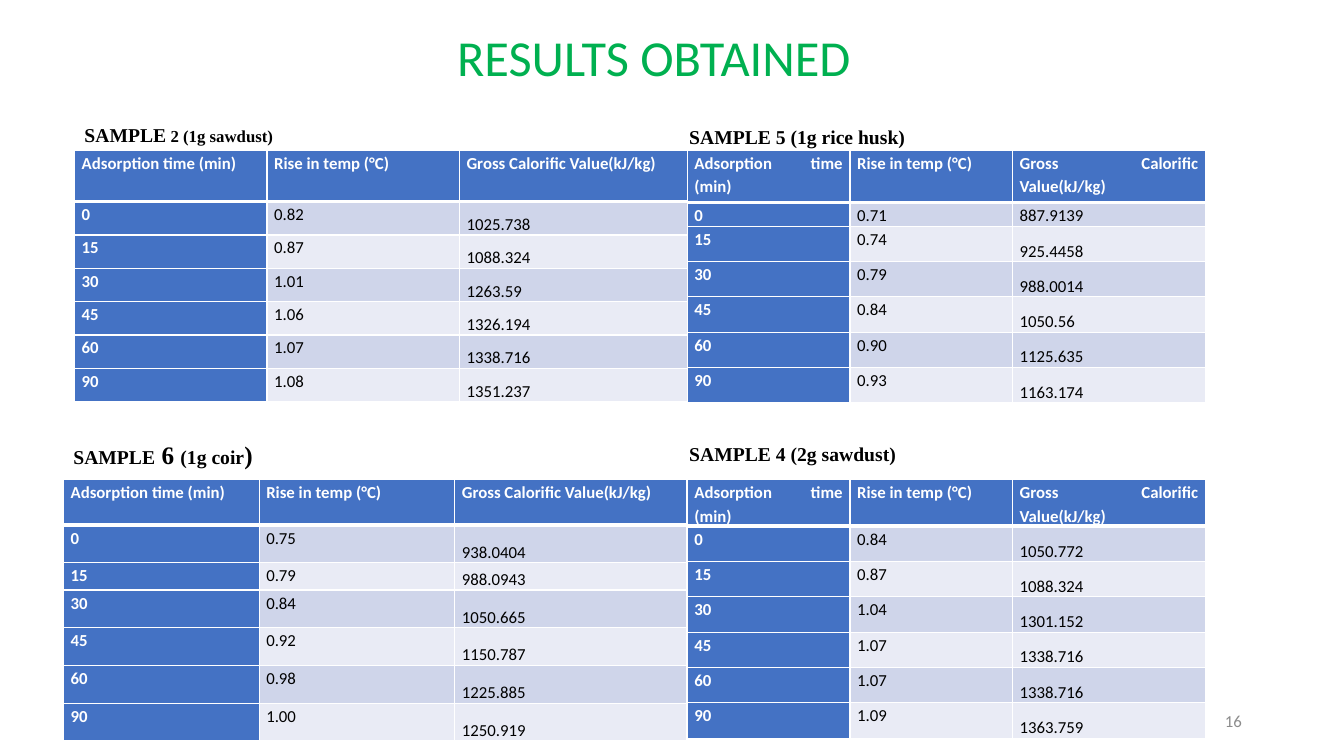
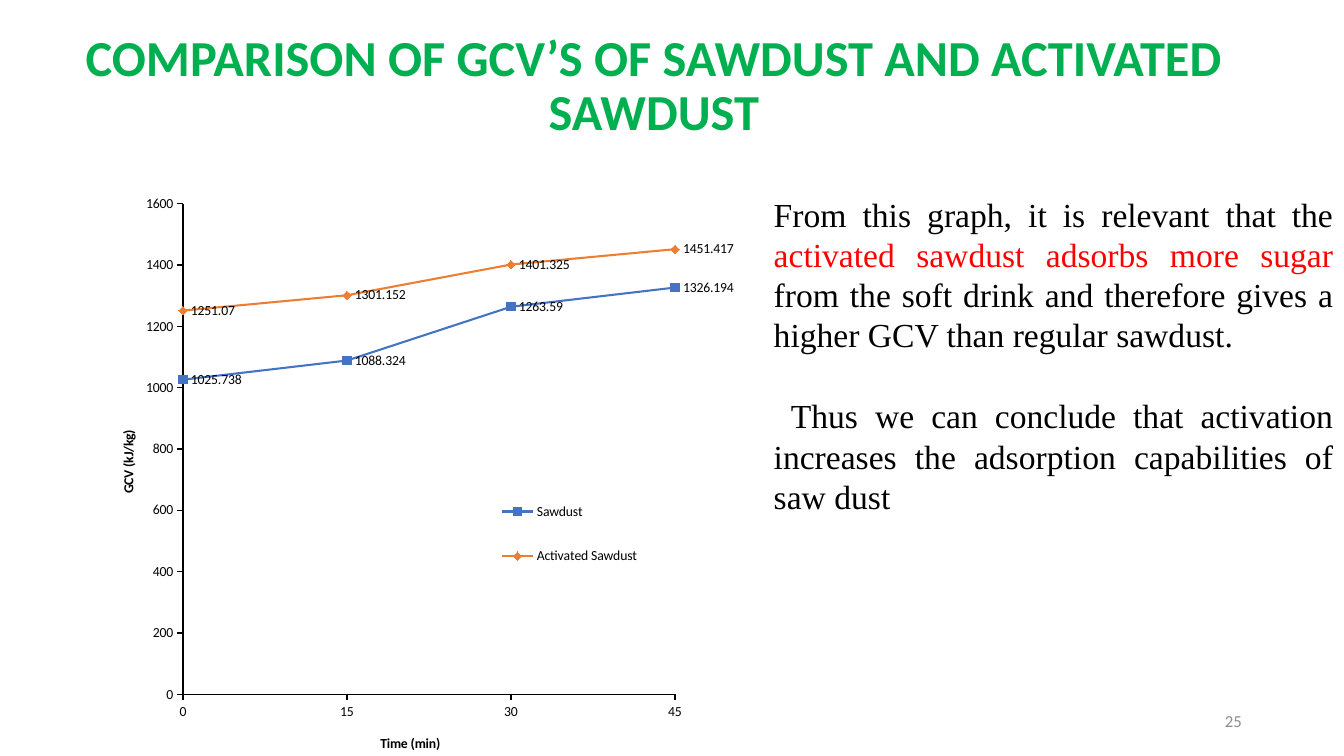
from pptx import Presentation
from pptx.chart.data import CategoryChartData
from pptx.dml.color import RGBColor
from pptx.enum.chart import (XL_AXIS_CROSSES, XL_CHART_TYPE, XL_LABEL_POSITION,
                             XL_LEGEND_POSITION, XL_MARKER_STYLE, XL_TICK_MARK)
from pptx.enum.text import MSO_ANCHOR, PP_ALIGN
from pptx.oxml import parse_xml
from pptx.oxml.ns import nsdecls, qn
from pptx.util import Cm, Pt

GREEN, BLUE, ORANGE, RED = "00B050", "4472C4", "ED7D31", "FF0000"
BLACK, WHITE, GREY = "000000", "FFFFFF", "8C8C8C"
BANDS = ("E9EBF5", "CFD5EA")
SANS, SERIF = "Calibri", "Times New Roman"
rgb = RGBColor.from_string


def write(tf, paragraphs, font, para):
    tf.word_wrap = True
    for i, runs in enumerate(paragraphs):
        p = tf.paragraphs[0] if i == 0 else tf.add_paragraph()
        for name, value in para.items():
            setattr(p, name, value)
        for text, changes in runs:
            r = p.add_run()
            r.text = text
            values = {**font, **changes}
            r.font.color.rgb = rgb(values.pop("color"))
            for name, value in values.items():
                setattr(r.font, name, value)


def place(parent, index, target, **sizes):
    for old in parent.findall(qn("c:layout")):
        parent.remove(old)
    modes = f'<c:layoutTarget val="{target}"/>' if target else ""
    modes += '<c:xMode val="edge"/><c:yMode val="edge"/>'
    values = "".join(f'<c:{k} val="{v}"/>' for k, v in sizes.items())
    parent.insert(index, parse_xml(
        f'<c:layout {nsdecls("c")}><c:manualLayout>{modes}{values}</c:manualLayout></c:layout>'))


prs = Presentation()
prs.slide_width, prs.slide_height = Cm(33.87), Cm(19.05)

title_font = {"name": SANS, "size": Pt(36), "color": GREEN}
number_font = {"name": SANS, "size": Pt(12), "color": GREY}
slides = []
for title, bold, number in [
    ("RESULTS OBTAINED", False, "16"),
    ("COMPARISON OF GCV’S OF SAWDUST AND ACTIVATED SAWDUST", True, "25"),
]:
    s = prs.slides.add_slide(prs.slide_layouts[6])
    tf = s.shapes.add_textbox(Cm(1.75), Cm(0.7), Cm(29.46), Cm(3.1)).text_frame
    write(tf, [[(title, {"bold": bold})]], title_font,
          {"alignment": PP_ALIGN.CENTER, "line_spacing": 0.9})
    tf = s.shapes.add_textbox(Cm(23.93), Cm(17.65), Cm(7.62), Cm(1.02)).text_frame
    tf.vertical_anchor = MSO_ANCHOR.MIDDLE
    write(tf, [[(number, {})]], number_font, {"alignment": PP_ALIGN.RIGHT})
    slides.append(s)
results, comparison = slides

header = ["Adsorption time (min)", "Rise in temp (°C)", "Gross Calorific Value(kJ/kg)"]
times = ["0", "15", "30", "45", "60", "90"]
small, large = {"size": Pt(12)}, {"size": Pt(18)}
samples = [
    {"label": [("SAMPLE", {}), (" 2 (1g sawdust)", small)], "label_at": (1.88, 2.97),
     "at": (1.88, 3.78), "cols": [4.85, 4.85, 5.74], "rows": [1.3] + [0.84] * 6,
     "temps": ["0.82", "0.87", "1.01", "1.06", "1.07", "1.08"],
     "gcv": ["1025.738", "1088.324", "1263.59", "1326.194", "1338.716", "1351.237"]},
    {"label": [("SAMPLE 5 (1g rice husk)", {})], "label_at": (17.12, 3.02),
     "at": (17.32, 3.78), "cols": [4.1, 4.1, 4.86], "rows": [1.32, 0.6] + [0.89] * 5,
     "temps": ["0.71", "0.74", "0.79", "0.84", "0.90", "0.93"],
     "gcv": ["887.9139", "925.4458", "988.0014", "1050.56", "1125.635", "1163.174"]},
    {"label": [("SAMPLE", {}), (" 6 ", large), ("(1g coir", {}), (")", large)],
     "label_at": (1.6, 10.95),
     "at": (1.6, 12.09), "cols": [4.93, 4.93, 5.85], "rows": [1.14, 0.95, 0.69] + [0.95] * 4,
     "temps": ["0.75", "0.79", "0.84", "0.92", "0.98", "1.00"],
     "gcv": ["938.0404", "988.0943", "1050.665", "1150.787", "1225.885", "1250.919"]},
    {"label": [("SAMPLE 4 (2g sawdust)", {})], "label_at": (17.12, 11.02),
     "at": (17.32, 12.09), "cols": [4.1, 4.1, 4.86], "rows": [1.17] + [0.89] * 6,
     "temps": ["0.84", "0.87", "1.04", "1.07", "1.07", "1.09"],
     "gcv": ["1050.772", "1088.324", "1301.152", "1338.716", "1338.716", "1363.759"]},
]
label_font = {"name": SERIF, "size": Pt(14), "bold": True, "color": BLACK}
cell_para = {"alignment": PP_ALIGN.JUSTIFY, "line_spacing": 1.15, "space_after": Pt(10)}
margins = {"margin_left": Cm(0.18), "margin_right": Cm(0.18), "margin_top": 0, "margin_bottom": 0}

for sample in samples:
    left, top = sample["label_at"]
    tf = results.shapes.add_textbox(Cm(left), Cm(top), Cm(12.5), Cm(0.86)).text_frame
    write(tf, [sample["label"]], label_font, {"alignment": PP_ALIGN.LEFT})

    left, top = sample["at"]
    cols, rows = sample["cols"], sample["rows"]
    table = results.shapes.add_table(len(rows), len(cols), Cm(left), Cm(top),
                                     Cm(sum(cols)), Cm(sum(rows))).table
    for column, width in zip(table.columns, cols):
        column.width = Cm(width)
    for row, height in zip(table.rows, rows):
        row.height = Cm(height)
    for i, texts in enumerate([header, *zip(times, sample["temps"], sample["gcv"])]):
        for j, text in enumerate(texts):
            cell = table.cell(i, j)
            heading = i == 0 or j == 0
            for name, value in margins.items():
                setattr(cell, name, value)
            if i and j == 2:
                cell.vertical_anchor = MSO_ANCHOR.BOTTOM
            thick = {"T": i == 1, "B": i == 0}
            tcPr = cell._tc.get_or_add_tcPr()
            for side in "LRTB":
                width = Pt(3 if thick.get(side) else 1)
                tcPr.append(parse_xml(
                    f'<a:ln{side} {nsdecls("a")} w="{width}"><a:solidFill>'
                    f'<a:srgbClr val="{WHITE}"/></a:solidFill></a:ln{side}>'))
            cell.fill.solid()
            cell.fill.fore_color.rgb = rgb(BLUE if heading else BANDS[i % 2])
            write(cell.text_frame, [[(text, {})]],
                  {"name": SANS, "size": Pt(12), "bold": heading,
                   "color": WHITE if heading else BLACK}, cell_para)

data = CategoryChartData()
data.categories = times[:4]
data.add_series("Sawdust", [1025.738, 1088.324, 1263.59, 1326.194])
data.add_series("Activated Sawdust", [1251.07, 1301.152, 1401.325, 1451.417])
chart = comparison.shapes.add_chart(XL_CHART_TYPE.LINE_MARKERS, Cm(2.62), Cm(4.75),
                                    Cm(15.9), Cm(14.3), data).chart
chart.has_title = False
chart.font.name, chart.font.size = SANS, Pt(10)
chart.font.color.rgb = rgb(BLACK)
chart.has_legend = True
chart.legend.position = XL_LEGEND_POSITION.RIGHT
chart.legend.include_in_layout = False
place(chart.legend._element, 1, None, x=0.635, y=0.51, w=0.24, h=0.21)
place(chart._chartSpace.chart.plotArea, 0, "inner", x=0.128, y=0.027, w=0.798, h=0.874)

cat, val = chart.category_axis, chart.value_axis
for axis, text, x, y in [(cat, "Time (min)", 0.444, 0.968), (val, "GCV (kJ/kg)", 0.021, 0.424)]:
    axis.has_major_gridlines = False
    axis.major_tick_mark = XL_TICK_MARK.OUTSIDE
    axis.format.line.color.rgb = rgb(BLACK)
    axis.format.line.width = Pt(1)
    write(axis.axis_title.text_frame, [[(text, {})]],
          {"name": SANS, "size": Pt(10), "bold": True, "color": BLACK}, {})
    place(axis.axis_title._element, 1, None, x=x, y=y)
val.minimum_scale, val.maximum_scale, val.major_unit = 0, 1600, 200
cat.crosses = XL_AXIS_CROSSES.AUTOMATIC
for old in val._element.findall(qn("c:crossBetween")):
    val._element.remove(old)
val._element.find(qn("c:crosses")).addnext(
    parse_xml(f'<c:crossBetween {nsdecls("c")} val="midCat"/>'))

plot = chart.plots[0]
plot.vary_by_categories = False
for series, color, style in zip(plot.series, (BLUE, ORANGE),
                                (XL_MARKER_STYLE.SQUARE, XL_MARKER_STYLE.DIAMOND)):
    series.smooth = False
    series.format.line.color.rgb = rgb(color)
    series.format.line.width = Pt(1.5)
    series.marker.style, series.marker.size = style, 6
    series.marker.format.fill.solid()
    series.marker.format.fill.fore_color.rgb = rgb(color)
    series.marker.format.line.color.rgb = rgb(color)
    series.data_labels.show_value = True
    series.data_labels.position = XL_LABEL_POSITION.RIGHT

tf = comparison.shapes.add_textbox(Cm(19.25), Cm(4.75), Cm(14.6), Cm(9.5)).text_frame
write(tf, [
    [("From this graph, it is relevant that the ", {}),
     ("activated sawdust adsorbs more sugar ", {"color": RED}),
     ("from the soft drink and therefore gives a higher GCV than regular sawdust.", {})],
    [("Thus we can conclude that activation increases the adsorption capabilities of saw dust", {})],
], {"name": SERIF, "size": Pt(24), "color": BLACK}, {"alignment": PP_ALIGN.JUSTIFY})
p = tf.paragraphs[1]
p.space_before = Pt(29)
p._p.get_or_add_pPr().set("indent", str(Cm(0.43)))

prs.save("out.pptx")
